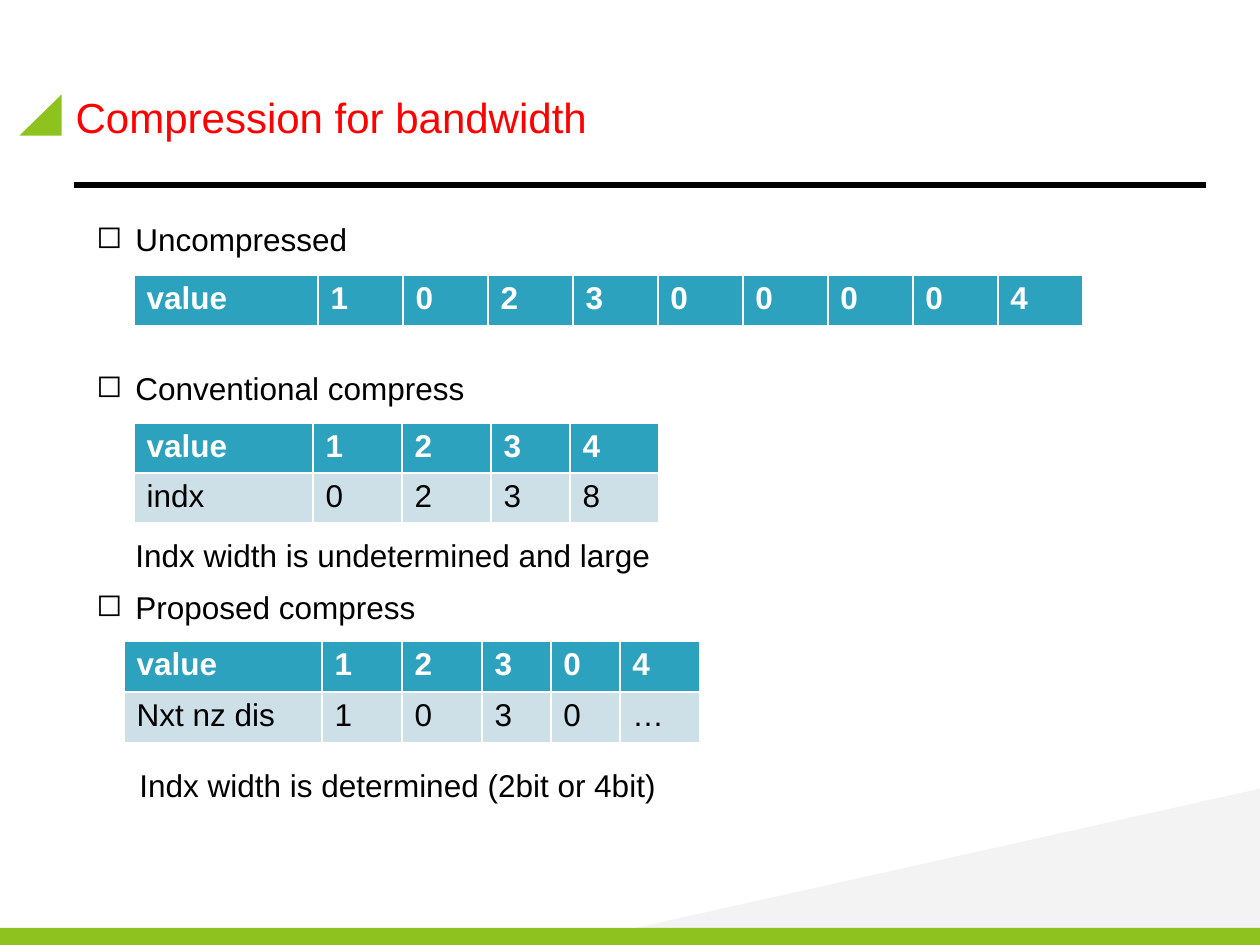
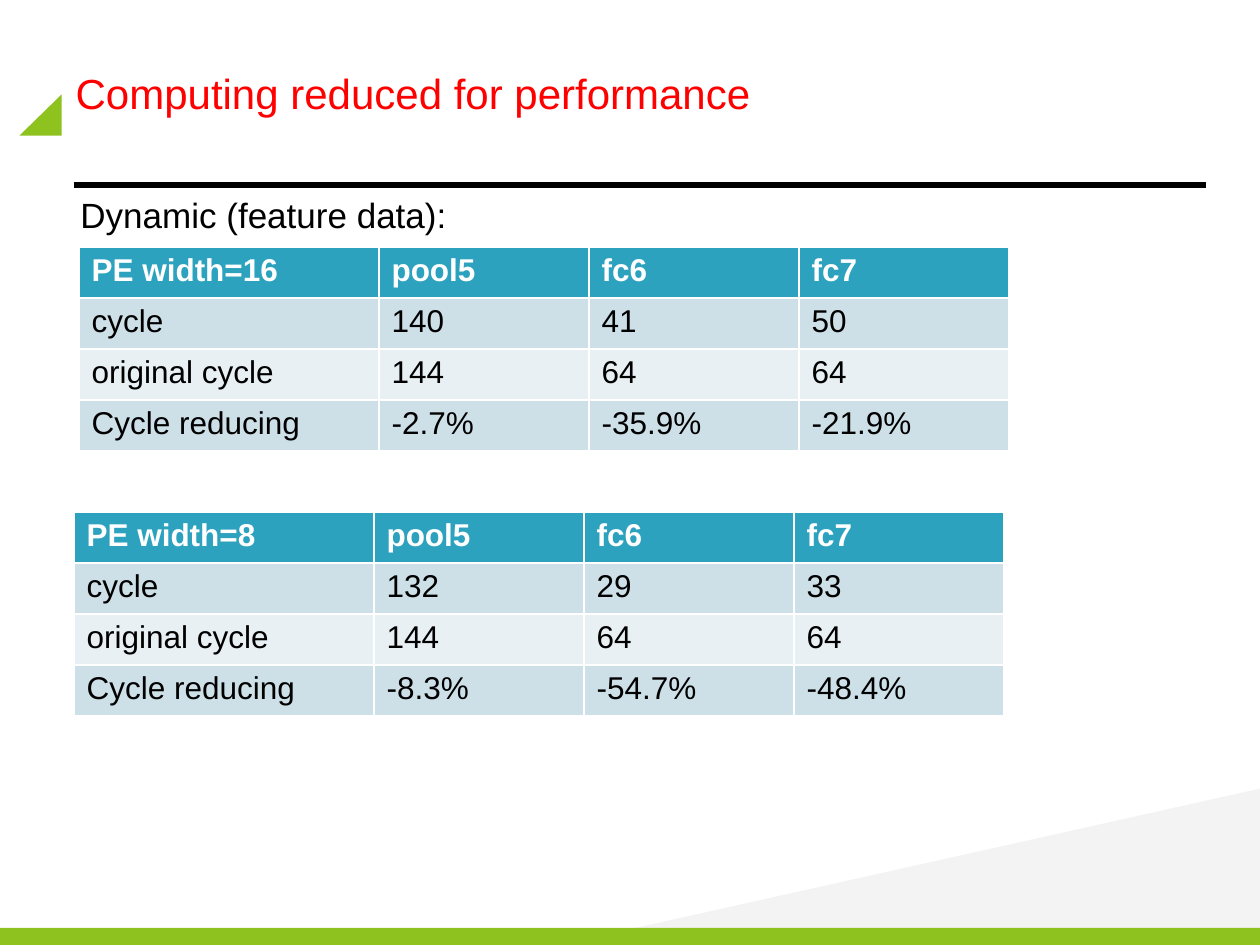
from lxml import etree
from pptx import Presentation
from pptx.dml.color import RGBColor
from pptx.enum.shapes import MSO_CONNECTOR, MSO_SHAPE
from pptx.enum.text import MSO_ANCHOR, MSO_AUTO_SIZE, PP_ALIGN
from pptx.oxml.ns import qn
from pptx.util import Pt

PX = 914400 / 126
TRIANGLE, RECTANGLE = MSO_SHAPE.RIGHT_TRIANGLE, MSO_SHAPE.RECTANGLE
STRAIGHT = MSO_CONNECTOR.STRAIGHT
LEFT, MIDDLE, TOP = PP_ALIGN.LEFT, MSO_ANCHOR.MIDDLE, MSO_ANCHOR.TOP
FIXED, GROW = MSO_AUTO_SIZE.NONE, MSO_AUTO_SIZE.SHAPE_TO_FIT_TEXT
FONT = "Arial"
GREEN, GREY, RED, BLACK, WHITE = "8EC31F", "F2F2F2", "FF0000", "000000", "FFFFFF"
HEADER, BANDS = "2DA2BF", ("E8F0F4", "CDE0E8")
TITLE_INDENT, BULLET_INDENT = 48, 39

DECORATIONS = [
    (TRIANGLE, (822, 510, 160, 717), 270, GREY, 90),
    (TRIANGLE, (20, 94, 41, 42), 270, GREEN, 100),
    (RECTANGLE, (0, 928, 1260, 17), 0, GREEN, 100),
]

PAGES = [
    {
        "title": "Compression for bandwidth",
        "title_lift": 0,
        "tables": [
            (134, 275, 51, [184] + [85] * 9, [
                ["value", "1", "0", "2", "3", "0", "0", "0", "0", "4"],
            ]),
            (134, 423, 50, [179, 89, 89, 79, 89], [
                ["value", "1", "2", "3", "4"],
                ["indx", "0", "2", "3", "8"],
            ]),
            (124, 641, 51, [198, 80, 80, 69, 69, 80], [
                ["value", "1", "2", "3", "0", "4"],
                ["Nxt nz dis", "1", "0", "3", "0", "…"],
            ]),
        ],
        "texts": [
            ("Uncompressed", (84, 214, 307, 50), 18, "◻", TOP, GROW),
            ("Conventional compress", (84, 363, 507, 50), 18, "◻", TOP, GROW),
            ("Proposed compress", (84, 582, 507, 50), 18, "◻", TOP, GROW),
            ("Indx width is undetermined and large", (123, 530, 581, 50), 18, None, TOP, GROW),
            ("Indx width is determined (2bit or 4bit)", (127, 760, 581, 50), 18, None, TOP, GROW),
        ],
    },
    {
        "title": "Computing reduced for performance",
        "title_lift": 49,
        "tables": [
            (74, 512, 51, [300, 210, 210, 210], [
                ["PE width=8", "pool5", "fc6", "fc7"],
                ["cycle", "132", "29", "33"],
                ["original cycle", "144", "64", "64"],
                ["Cycle reducing", "-8.3%", "-54.7%", "-48.4%"],
            ]),
            (79, 247, 51, [300, 210, 210, 210], [
                ["PE width=16", "pool5", "fc6", "fc7"],
                ["cycle", "140", "41", "50"],
                ["original cycle", "144", "64", "64"],
                ["Cycle reducing", "-2.7%", "-35.9%", "-21.9%"],
            ]),
        ],
        "texts": [
            ("Dynamic (feature data):", (68, 185, 1071, 59), 20, None, MIDDLE, FIXED),
        ],
    },
]


def color(value):
    return RGBColor.from_string(value)


def write(frame, text, size, ink, bold=False, indent=0, bullet=None):
    frame.text = text
    para = frame.paragraphs[0]
    para.alignment = LEFT
    if indent:
        properties = para._p.get_or_add_pPr()
        properties.set("marL", str(round(indent * PX)))
        properties.set("indent", str(round(-indent * PX)))
        if bullet:
            etree.SubElement(properties, qn("a:buChar")).set("char", bullet)
    for span in para.runs:
        span.font.name = FONT
        span.font.size = Pt(size)
        span.font.bold = bold
        span.font.color.rgb = color(ink)


deck = Presentation()
deck.slide_width, deck.slide_height = round(1260 * PX), round(945 * PX)

for content in PAGES:
    page = deck.slides.add_slide(deck.slide_layouts[5])

    for kind, place, turn, fill, opacity in DECORATIONS:
        shape = page.shapes.add_shape(kind, *[round(n * PX) for n in place])
        shape.rotation = turn
        shape.shadow.inherit = False
        shape.fill.solid()
        shape.fill.fore_color.rgb = color(fill)
        shape.line.fill.background()
        if opacity < 100:
            paint = shape.element.spPr.find(".//" + qn("a:srgbClr"))
            etree.SubElement(paint, qn("a:alpha")).set("val", str(opacity * 1000))

    title = page.shapes.title
    title.left, title.top, title.width, title.height = [
        round(n * PX) for n in (63, 38, 1134, 158)]
    frame = title.text_frame
    frame.word_wrap = True
    frame.auto_size = FIXED
    frame.vertical_anchor = MIDDLE
    frame.margin_bottom = round((6 + content["title_lift"]) * PX)
    write(frame, content["title"], 24, RED, indent=TITLE_INDENT)

    rule = page.shapes.add_connector(STRAIGHT, *[round(n * PX) for n in (74, 185, 1206, 185)])
    rule.line.color.rgb = color(BLACK)
    rule.line.width = Pt(3)
    etree.SubElement(rule.element.spPr, qn("a:effectLst"))

    for left, top, row_height, widths, rows in content["tables"]:
        place = (left, top, sum(widths), row_height * len(rows))
        table = page.shapes.add_table(
            len(rows), len(widths), *[round(n * PX) for n in place]).table
        for column, width in zip(table.columns, widths):
            column.width = round(width * PX)
        for i, values in enumerate(rows):
            table.rows[i].height = round(row_height * PX)
            for j, value in enumerate(values):
                cell = table.cell(i, j)
                cell.fill.solid()
                cell.fill.fore_color.rgb = color(BANDS[i % 2] if i else HEADER)
                write(cell.text_frame, value, 18, BLACK if i else WHITE, bold=i == 0)

    for text, place, size, bullet, anchor, fit in content["texts"]:
        box = page.shapes.add_textbox(*[round(n * PX) for n in place])
        frame = box.text_frame
        frame.word_wrap = True
        frame.auto_size = fit
        frame.vertical_anchor = anchor
        write(frame, text, size, BLACK, indent=BULLET_INDENT if bullet else 0, bullet=bullet)

deck.save("out.pptx")
